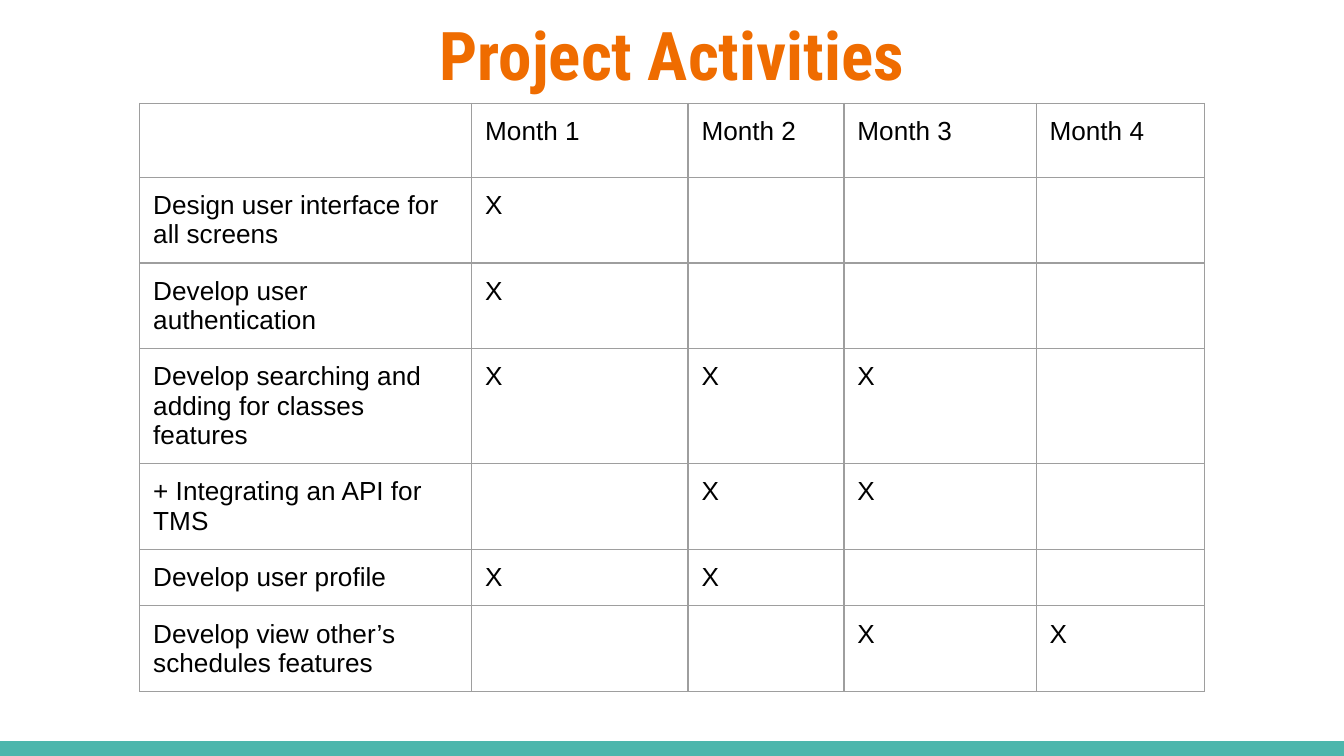
"""Build the project activities slide with its month-by-month table."""
from dataclasses import dataclass

from lxml.etree import SubElement
from pptx import Presentation
from pptx.dml.color import RGBColor
from pptx.enum.shapes import MSO_SHAPE
from pptx.enum.text import MSO_ANCHOR, PP_ALIGN
from pptx.oxml.ns import qn
from pptx.util import Inches, Pt

TEAL = RGBColor(0x4D, 0xB6, 0xAC)
ORANGE = RGBColor(0xEF, 0x6C, 0x00)
BLACK = RGBColor(0x00, 0x00, 0x00)
GRAY = RGBColor(0x9E, 0x9E, 0x9E)

SLIDE_WIDTH = Inches(10)
SLIDE_HEIGHT = SLIDE_WIDTH * 9 // 16
BAR_HEIGHT = Inches(0.11)
MARGIN = Inches(0.1)
CELL_SIZE = 14
CELL_FONT = "Arial"
COL_WIDTHS = (2.47, 1.61, 1.16, 1.43, 1.25)
ROW_HEIGHTS = (0.55, 0.55, 0.42, 0.42, 0.42, 0.42, 0.42)
MONTHS = (1, 2, 3, 4)


@dataclass(frozen=True)
class Activity:
    name: str
    months: tuple[int, ...]


ACTIVITIES = (
    Activity("Design user interface for all screens", (1,)),
    Activity("Develop user authentication", (1,)),
    Activity("Develop searching and adding for classes features", (1, 2, 3)),
    Activity("+ Integrating an API for TMS", (2, 3)),
    Activity("Develop user profile", (1, 2)),
    Activity("Develop view other’s schedules features", (3, 4)),
)


def write_text(tf, text: str, *, size: float, font: str, color: RGBColor,
               bold: bool = False, align=PP_ALIGN.LEFT) -> None:
    p = tf.paragraphs[0]
    p.alignment = align
    r = p.add_run()
    r.text = text
    r.font.size = Pt(size)
    r.font.name = font
    r.font.color.rgb = color
    r.font.bold = bold


def set_borders(cell, color: RGBColor, width: float) -> None:
    tc_pr = cell._tc.get_or_add_tcPr()
    for side in ("a:lnL", "a:lnR", "a:lnT", "a:lnB"):
        ln = SubElement(tc_pr, qn(side), w=str(Pt(width)))
        fill = SubElement(ln, qn("a:solidFill"))
        SubElement(fill, qn("a:srgbClr"), val=str(color))


def fill_cell(cell, text: str) -> None:
    set_borders(cell, GRAY, 0.75)
    cell.fill.background()
    cell.margin_left = cell.margin_right = MARGIN
    cell.margin_top = cell.margin_bottom = MARGIN
    if text:
        write_text(cell.text_frame, text, size=CELL_SIZE, font=CELL_FONT, color=BLACK)
    else:
        p = cell.text_frame.paragraphs[0]
        end = SubElement(p._p, qn("a:endParaRPr"), sz=str(CELL_SIZE * 100))
        SubElement(end, qn("a:latin"), typeface=CELL_FONT)


def add_footer_bar(s) -> None:
    sp = s.shapes.add_shape(
        MSO_SHAPE.RECTANGLE, 0, SLIDE_HEIGHT - BAR_HEIGHT, SLIDE_WIDTH, BAR_HEIGHT)
    sp.shadow.inherit = False
    sp.fill.solid()
    sp.fill.fore_color.rgb = TEAL
    sp.line.fill.background()


def add_title(s, text: str) -> None:
    sp = s.shapes.title
    sp.left, sp.top, sp.width, sp.height = Inches(0.34), 0, Inches(9.32), Inches(0.77)
    tf = sp.text_frame
    tf.word_wrap = True
    tf.vertical_anchor = MSO_ANCHOR.TOP
    tf.margin_left = tf.margin_right = tf.margin_top = tf.margin_bottom = MARGIN
    write_text(tf, text, size=36, font="Roboto Condensed", color=ORANGE,
               bold=True, align=PP_ALIGN.CENTER)


def add_schedule(s) -> None:
    rows = [["", *(f"Month {m}" for m in MONTHS)]]
    rows += [[a.name, *("X" if m in a.months else "" for m in MONTHS)] for a in ACTIVITIES]
    table = s.shapes.add_table(
        len(rows), len(COL_WIDTHS), Inches(1.04), Inches(0.77),
        Inches(sum(COL_WIDTHS)), Inches(sum(ROW_HEIGHTS))).table
    table.first_row = table.horz_banding = False
    for column, width in zip(table.columns, COL_WIDTHS):
        column.width = Inches(width)
    for row, height, texts in zip(table.rows, ROW_HEIGHTS, rows):
        row.height = Inches(height)
        for cell, text in zip(row.cells, texts):
            fill_cell(cell, text)


def main() -> None:
    prs = Presentation()
    prs.slide_width, prs.slide_height = SLIDE_WIDTH, SLIDE_HEIGHT
    s = prs.slides.add_slide(prs.slide_layouts[5])
    add_footer_bar(s)
    add_title(s, "Project Activities")
    add_schedule(s)
    prs.save("out.pptx")


if __name__ == "__main__":
    main()
